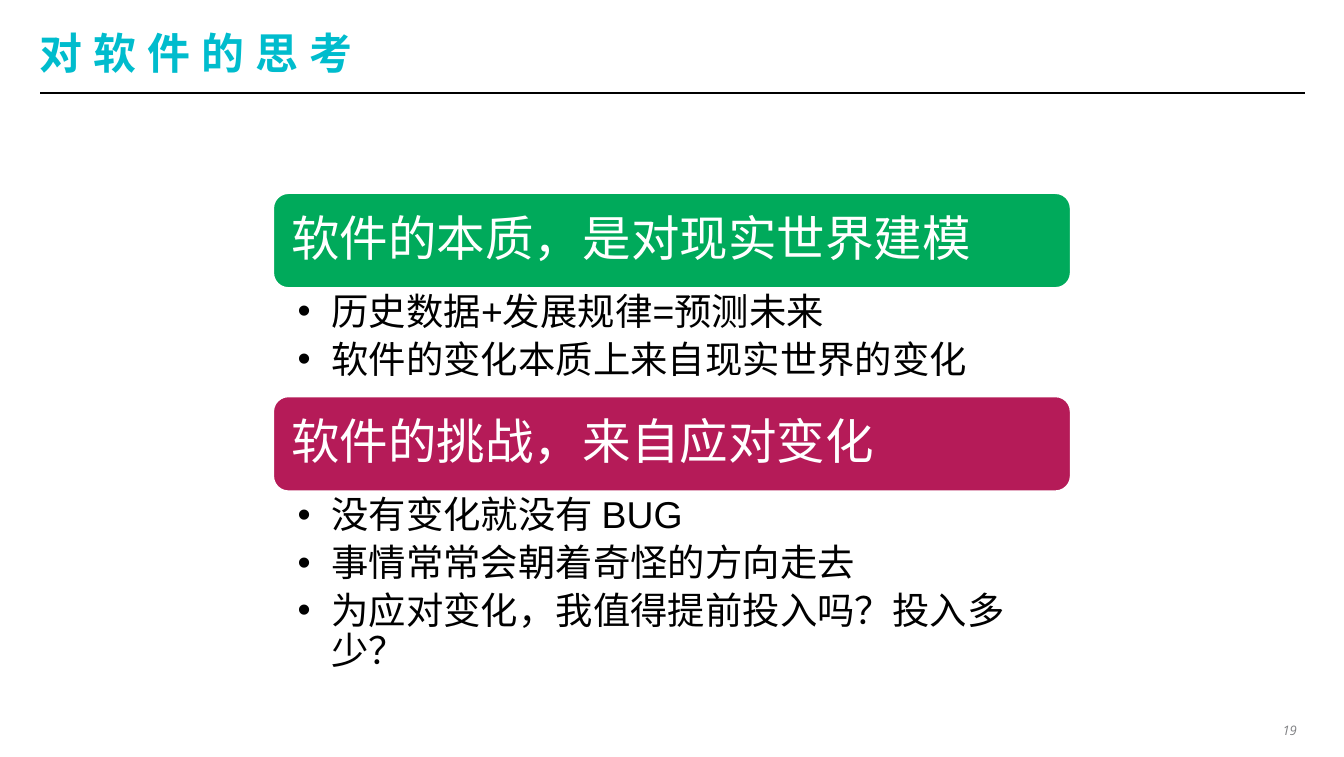
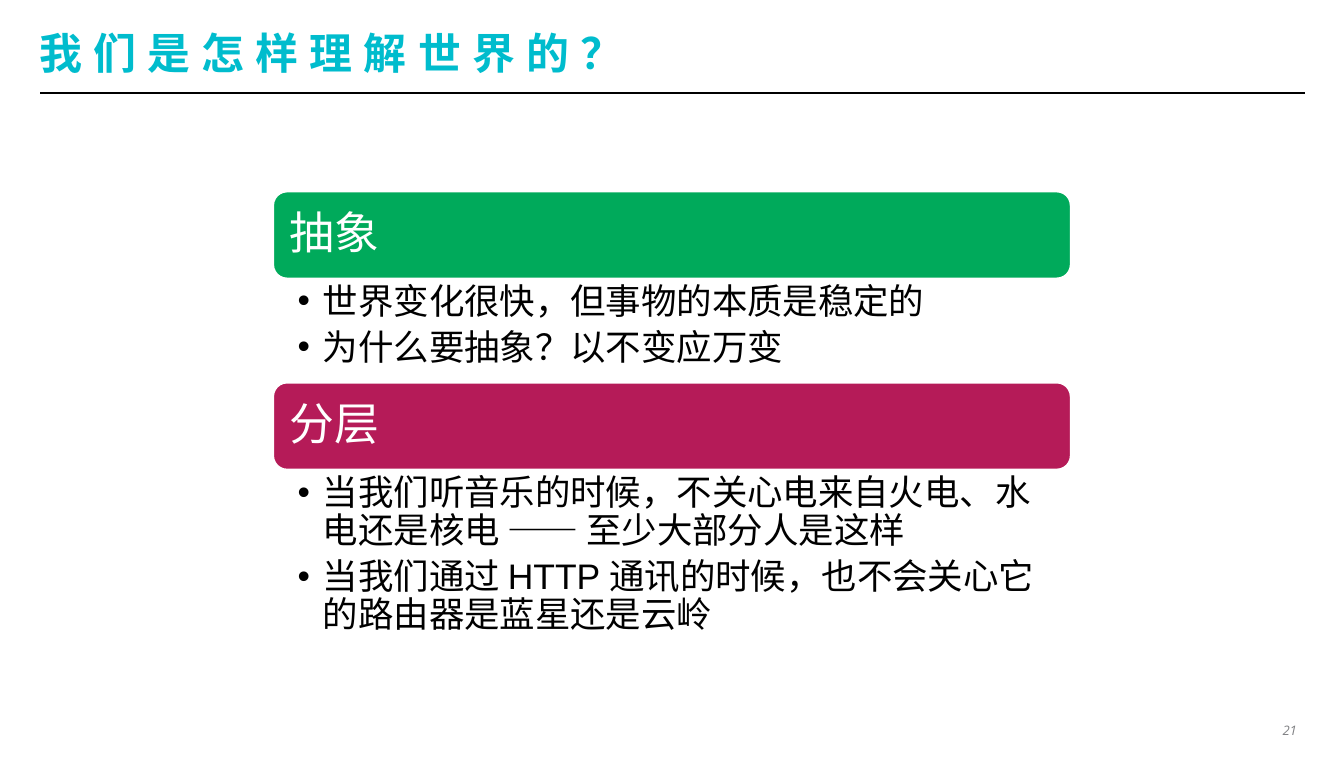
from lxml.etree import SubElement
from pptx import Presentation
from pptx.dml.color import RGBColor
from pptx.enum.shapes import MSO_CONNECTOR, MSO_SHAPE
from pptx.enum.text import MSO_ANCHOR, PP_ALIGN
from pptx.oxml.ns import qn
from pptx.util import Cm, Pt

CYAN = RGBColor(0x00, 0xBC, 0xCD)
GREEN = RGBColor(0x00, 0xAA, 0x5B)
CRIMSON = RGBColor(0xB5, 0x1B, 0x58)
GRAY = RGBColor(0x80, 0x81, 0x84)
BLACK = RGBColor(0x00, 0x00, 0x00)
WHITE = RGBColor(0xFF, 0xFF, 0xFF)

PAGE_WIDTH, PAGE_HEIGHT = 25.4, 14.3
TOPIC_WIDTH = 15.11
TOPIC_LEFT = (PAGE_WIDTH - TOPIC_WIDTH) / 2

# Lengths are in cm, font sizes in points; each topic is (heading, list height, points).
PAGES = [
    dict(title="对软件的思考", number="19", top=3.63, bar_height=1.83,
         heading_size=26, heading_inset=0.27, point_size=20, indent=0.64,
         topics=[
             ("软件的本质，是对现实世界建模", 2.01,
              ["历史数据+发展规律=预测未来", "软件的变化本质上来自现实世界的变化"]),
             ("软件的挑战，来自应对变化", 3.07,
              ["没有变化就没有 BUG", "事情常常会朝着奇怪的方向走去",
               "为应对变化，我值得提前投入吗？投入多少？"]),
         ]),
    dict(title="我们是怎样理解世界的？", number="21", top=3.6, bar_height=1.68,
         heading_size=24, heading_inset=0.25, point_size=19, indent=0.48,
         topics=[
             ("抽象", 1.93,
              ["世界变化很快，但事物的本质是稳定的", "为什么要抽象？以不变应万变"]),
             ("分层", 3.53,
              ["当我们听音乐的时候，不关心电来自火电、水电还是核电 —— 至少大部分人是这样",
               "当我们通过 HTTP 通讯的时候，也不会关心它的路由器是蓝星还是云岭"]),
         ]),
]


def set_frame(frame, insets, anchor=MSO_ANCHOR.TOP, wrap=True):
    """Set the left, top, right and bottom insets in cm, the anchor and the wrapping."""
    (frame.margin_left, frame.margin_top,
     frame.margin_right, frame.margin_bottom) = [Cm(inset) for inset in insets]
    frame.vertical_anchor = anchor
    frame.word_wrap = wrap


def style_runs(paragraph, size, color, name="Arial", bold=False, italic=False):
    for run in paragraph.runs:
        font = run.font
        font.name, font.size, font.bold, font.italic = name, Pt(size), bold, italic
        font.color.rgb = color


prs = Presentation()
prs.slide_width, prs.slide_height = Cm(PAGE_WIDTH), Cm(PAGE_HEIGHT)

for page in PAGES:
    slide = prs.slides.add_slide(prs.slide_layouts[6])
    shapes = slide.shapes

    rule = shapes.add_connector(MSO_CONNECTOR.STRAIGHT, Cm(0.76), Cm(1.75), Cm(24.66), Cm(1.75))
    rule.line.color.rgb = BLACK
    rule.line.width = Pt(1)
    SubElement(rule.element.spPr, qn("a:effectLst"))

    title = shapes.add_textbox(Cm(0.74), Cm(0.45), Cm(23.9), Cm(1.07)).text_frame
    set_frame(title, [0] * 4, MSO_ANCHOR.MIDDLE)
    title.text = page["title"]
    style_runs(title.paragraphs[0], 23, CYAN, bold=True)
    title.paragraphs[0].runs[0].font._element.set("spc", "600")

    number = shapes.add_textbox(Cm(24.13), Cm(13.56), Cm(0.53), Cm(0.43)).text_frame
    set_frame(number, [0, 0.08, 0.15, 0.08], wrap=False)
    number.text = page["number"]
    number.paragraphs[0].alignment = PP_ALIGN.RIGHT
    style_runs(number.paragraphs[0], 7, GRAY, name="Open Sans", italic=True)

    top = page["top"]
    for (heading, list_height, points), color in zip(page["topics"], (GREEN, CRIMSON)):
        bar = shapes.add_shape(MSO_SHAPE.ROUNDED_RECTANGLE, Cm(TOPIC_LEFT), Cm(top),
                               Cm(TOPIC_WIDTH), Cm(page["bar_height"]))
        bar.shadow.inherit = False
        bar.fill.solid()
        bar.fill.fore_color.rgb = color
        bar.line.color.rgb = WHITE
        bar.line.width = Pt(2)
        set_frame(bar.text_frame, [page["heading_inset"]] * 4, MSO_ANCHOR.MIDDLE)
        bar.text_frame.text = heading
        label = bar.text_frame.paragraphs[0]
        label.alignment = PP_ALIGN.LEFT
        label.line_spacing = 0.9
        style_runs(label, page["heading_size"], WHITE)
        top += page["bar_height"]

        details = shapes.add_textbox(Cm(TOPIC_LEFT), Cm(top),
                                     Cm(TOPIC_WIDTH), Cm(list_height)).text_frame
        set_frame(details, [0.48, 0.08, 0.6, 0.08])
        details.text = "\n".join(points)
        for point in details.paragraphs:
            point.level = 1
            point.line_spacing = 0.9
            point.space_after = Pt(4)
            properties = point._p.get_or_add_pPr()
            properties.set("marL", str(Cm(page["indent"])))
            properties.set("indent", str(-Cm(page["indent"])))
            SubElement(properties, qn("a:buFont"), typeface="Arial")
            SubElement(properties, qn("a:buChar"), char="•")
            style_runs(point, page["point_size"], BLACK)
        top += list_height

prs.save("out.pptx")
